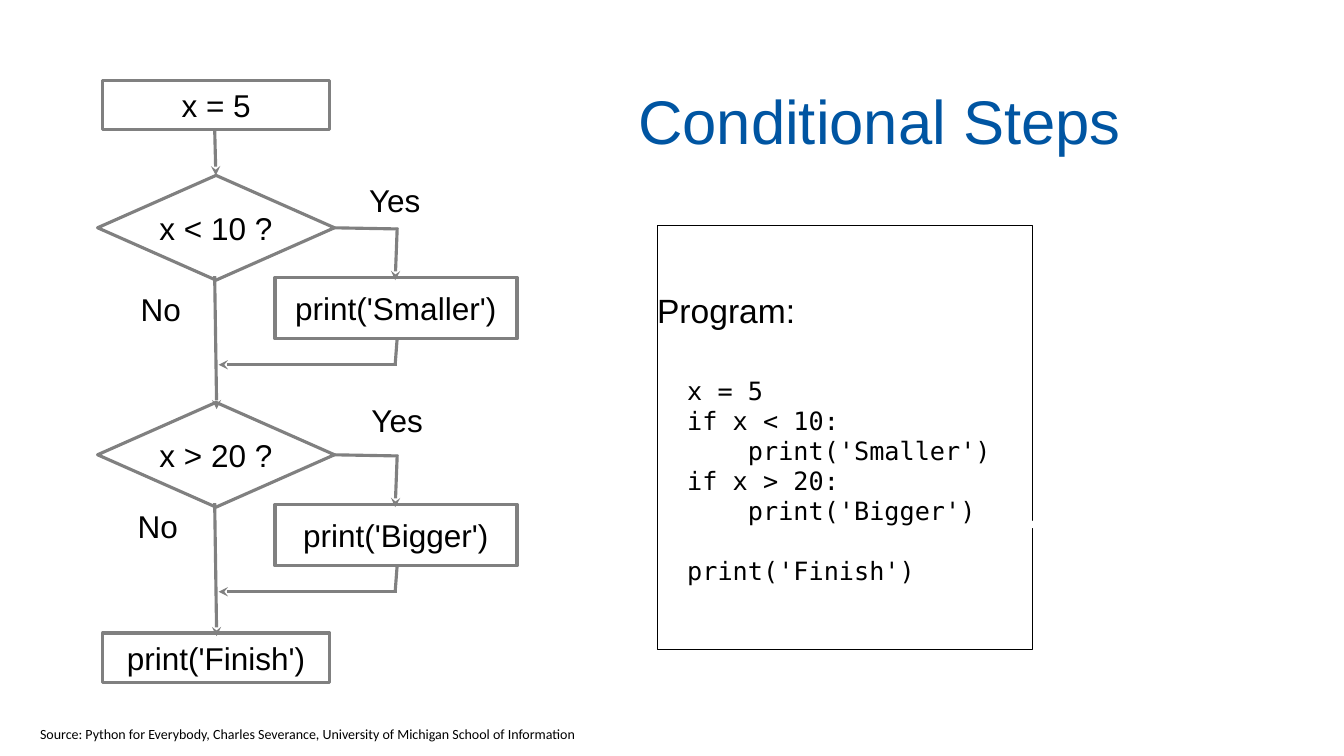
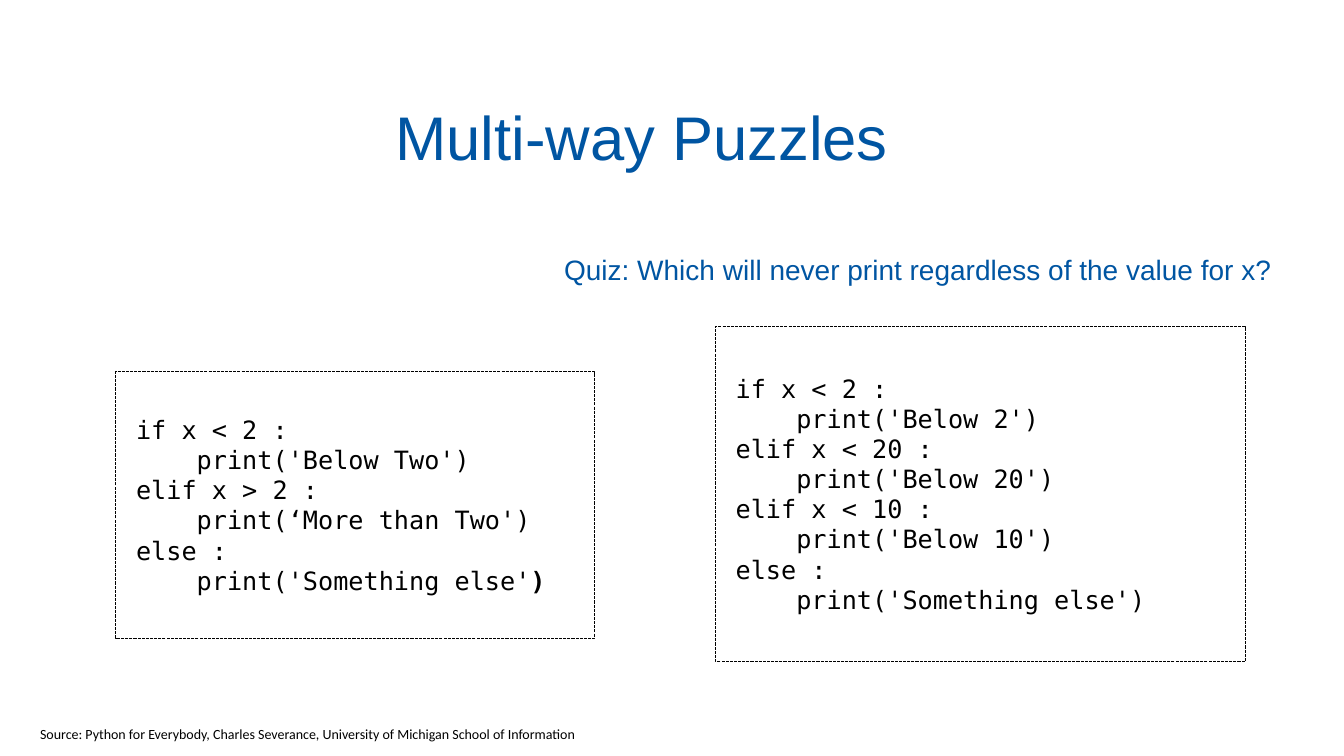
from lxml import etree
from pptx import Presentation
from pptx.dml.color import RGBColor
from pptx.enum.dml import MSO_LINE
from pptx.enum.shapes import MSO_CONNECTOR, MSO_SHAPE
from pptx.enum.text import MSO_ANCHOR, PP_ALIGN
from pptx.oxml.ns import qn
from pptx.util import Cm, Pt

RECT, DIAMOND = MSO_SHAPE.RECTANGLE, MSO_SHAPE.DIAMOND
STRAIGHT = MSO_CONNECTOR.STRAIGHT
LEFT, CENTER = PP_ALIGN.LEFT, PP_ALIGN.CENTER
TOP, MIDDLE = MSO_ANCHOR.TOP, MSO_ANCHOR.MIDDLE
SYS_DASH = MSO_LINE.SQUARE_DOT

COLORS = {"title": "0055A2", "text": "000000", "flow": "808080", "light": "FFFFFF"}
SANS, MONO, SMALL = "Arial", "DejaVu Sans Mono", "Calibri"
CODE_PITCH = 21.5

SOURCE = ("Source: Python for Everybody, Charles Severance, "
          "University of Michigan School of Information")
SOURCE_AREA = (0.76, 18.14, 14.22, 0.69)

STEPS_TITLE = ("Conditional Steps", (12.19, 1.6, 19.96, 2.84))
PROGRAM_AREA = (16.56, 5.69, 9.45, 10.69)
PROGRAM = [
    ("Program:", {"font": SANS, "size": 24, "indent": 0, "pitch": None}),
    ("x = 5", {"before": 32.4}),
    "if x < 10:",
    "    print('Smaller')",
    "if x > 20:",
    "    print('Bigger')",
    ("print('Finish')", {"before": CODE_PITCH}),
]
POINTER = ((28.22, 11.48), (23.83, 14.94))

ENDS = [("x = 5", 2.03), ("print('Finish')", 15.95)]
STAGE_STEP = 5.72
STAGES = [
    ("x < 10 ?", "print('Smaller')", (9.19, 4.39, 1.52, 1.3), (3.3, 7.06, 1.5, 1.47)),
    ("x > 20 ?", "print('Bigger')", (9.25, 9.93, 1.52, 1.3), (3.23, 12.7, 1.5, 1.09)),
]
ENTRY = ((5.44, 4.42), (5.41, 3.25))
STAGE_LINES = [
    ((5.46, 10.31), (5.41, 6.96), True),
    ((10.03, 5.77), (8.41, 5.74), False),
    ((9.96, 7.06), (10.01, 5.74), True),
    ((10.01, 8.51), (9.96, 9.17), False),
    ((5.51, 9.19), (10.01, 9.19), True),
]

PUZZLES_TITLE = ("Multi-way Puzzles", (2.41, 1.55, 27.53, 3.73))
QUIZ = "Quiz: Which will never print regardless of the value for x?"
QUIZ_AREA = (13.94, 5.77, 18.39, 2.01)
PUZZLES = [
    ((18.03, 8.23, 13.36, 8.43), [
        "if x < 2 :",
        "    print('Below 2')",
        "elif x < 20 :",
        "    print('Below 20')",
        "elif x < 10 :",
        "    print('Below 10')",
        "else :",
        "    print('Something else')",
    ]),
    ((2.92, 9.37, 12.07, 6.71), [
        "if x < 2 :",
        "    print('Below Two')",
        "elif x > 2 :",
        "    print(‘More than Two')",
        "else :",
        ("    print('Something else'", {"bold_end": ")"}),
    ]),
]


def rgb(name):
    return RGBColor.from_string(COLORS[name])


def cm(values):
    return [Cm(value) for value in values]


def write(shape, paragraphs, margins=(0, 0), anchor=MIDDLE, wrap=True, **style):
    frame = shape.text_frame
    frame.word_wrap = wrap
    frame.vertical_anchor = anchor
    frame.margin_left = frame.margin_right = Cm(margins[0])
    frame.margin_top = frame.margin_bottom = Cm(margins[1])
    base = {"font": SANS, "size": 22.5, "color": "text", "align": CENTER,
            "indent": 0, "pitch": None, "before": 0, "bold_end": "", **style}
    for index, entry in enumerate(paragraphs):
        text, changes = (entry, {}) if isinstance(entry, str) else entry
        form = {**base, **changes}
        paragraph = frame.add_paragraph() if index else frame.paragraphs[0]
        paragraph.alignment = form["align"]
        paragraph.space_before = Pt(form["before"])
        if form["pitch"]:
            paragraph.line_spacing = Pt(form["pitch"])
        if form["indent"]:
            properties = paragraph._p.get_or_add_pPr()
            properties.set("marL", str(Cm(form["indent"])))
            properties.set("indent", "0")
        for part, bold in ((text, False), (form["bold_end"], True)):
            if part:
                run = paragraph.add_run()
                run.text = part
                run.font.name = form["font"]
                run.font.size = Pt(form["size"])
                run.font.bold = bold
                run.font.color.rgb = rgb(form["color"])


def add_text(slide, area, text, **style):
    write(slide.shapes.add_textbox(*cm(area)), [text], **style)


def add_box(slide, area, paragraphs, kind=RECT, line="flow", width=2.25, dash=None, **style):
    box = slide.shapes.add_shape(kind, *cm(area))
    box.shadow.inherit = False
    box.fill.background()
    box.line.color.rgb = rgb(line)
    box.line.width = Pt(width)
    if dash:
        box.line.dash_style = dash
    write(box, paragraphs, **style)


def add_code(slide, area, code, indent, dash=None):
    add_box(slide, area, code, line="text", width=0.75, dash=dash, font=MONO,
            size=18, align=LEFT, indent=indent, pitch=CODE_PITCH)


def add_line(slide, start, end, arrow=True, color="flow", width=2.25, drop=0):
    (x1, y1), (x2, y2) = start, end
    line = slide.shapes.add_connector(STRAIGHT, *cm((x1, y1 + drop, x2, y2 + drop)))
    line.line.color.rgb = rgb(color)
    line.line.width = Pt(width)
    if arrow:
        etree.SubElement(line.line._get_or_add_ln(), qn("a:headEnd"), type="stealth")
    etree.SubElement(line._element.spPr, qn("a:effectLst"))


def add_slide(deck, title, area):
    slide = deck.slides.add_slide(deck.slide_layouts[5])
    heading = slide.shapes.title
    heading.left, heading.top, heading.width, heading.height = cm(area)
    write(heading, [title], margins=(0.08, 0.08), size=44, color="title")
    add_text(slide, SOURCE_AREA, SOURCE, font=SMALL, size=10, align=LEFT,
             margins=(0.25, 0.13), anchor=TOP, wrap=False)
    return slide


def add_flowchart(slide):
    for text, top in ENDS:
        add_box(slide, (2.59, top, 5.72, 1.24), [text])
    add_line(slide, *ENTRY)
    for index, (question, action, yes_area, no_area) in enumerate(STAGES):
        drop = index * STAGE_STEP
        add_box(slide, (2.46, 4.42 + drop, 5.97, 2.64), [question], kind=DIAMOND)
        add_box(slide, (6.93, 6.99 + drop, 6.1, 1.55), [action])
        for start, end, arrow in STAGE_LINES:
            add_line(slide, start, end, arrow, drop=drop)
        add_text(slide, yes_area, "Yes")
        add_text(slide, no_area, "No")


def main():
    deck = Presentation()
    deck.slide_width, deck.slide_height = Cm(33.87), Cm(19.05)

    steps = add_slide(deck, *STEPS_TITLE)
    add_code(steps, PROGRAM_AREA, PROGRAM, indent=0.76)
    add_flowchart(steps)
    add_line(steps, *POINTER, color="light", width=4)

    puzzles = add_slide(deck, *PUZZLES_TITLE)
    for area, code in PUZZLES:
        add_code(puzzles, area, code, indent=0.51, dash=SYS_DASH)
    add_text(puzzles, QUIZ_AREA, QUIZ, size=20, color="title")

    deck.save("out.pptx")


if __name__ == "__main__":
    main()
